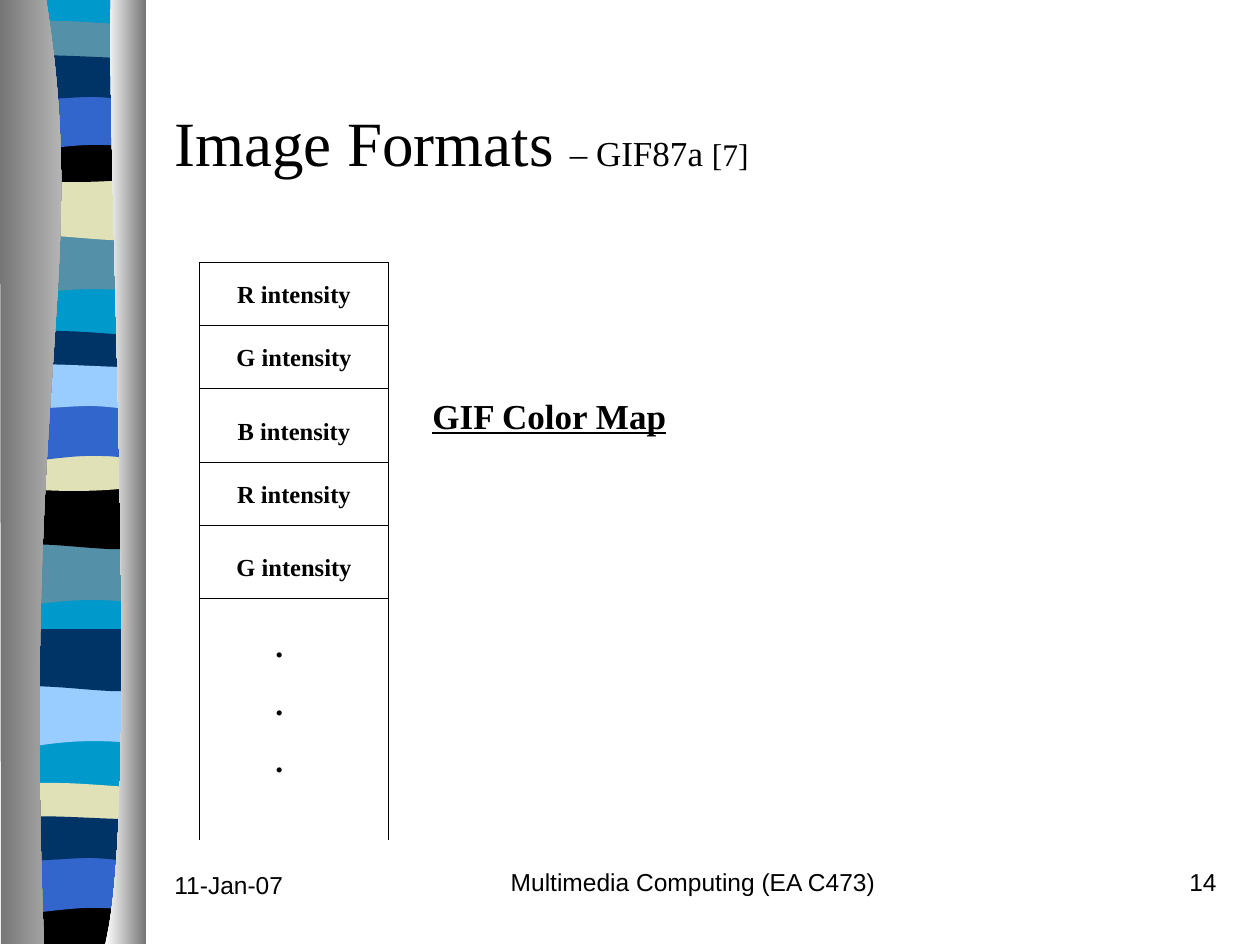
import pptx
import pptx.util
import pptx.dml.color
import pptx.enum.shapes
import pptx.enum.text
from lxml import etree

PX = 914400 / 126
HUES = {"sky": "0099CC", "teal": "5490A8", "sand": "E1E1B7", "black": "000000",
        "blue": "3366CC", "navy": "003366", "ice": "99CCFF",
        "grey": "767676", "pale": "D3D3D3", "white": "FFFFFF"}
SERIF, SANS = "Times New Roman", "Arial"

# Outlines in px: a pair is a corner, six numbers are a Bezier curve
WAVES = {
    "dip": [(136, 0), (136, 59), (42, 49, 23, 69, 0, 59), (0, 0)],
    "swell": [(136, 0), (136, 59), (113, 69, 42, 52, 0, 59), (0, 0)],
    "thin": [(136, 6), (136, 37), (113, 42, 23, 42, 0, 37), (0, 6),
             (8, 0, 29, 1, 52, 1), (74, 1, 118, 5, 136, 6)],
    "bowl": [(136, 0), (136, 40), (113, 48, 23, 48, 0, 40), (0, 0),
             (83, 6, 107, 0, 136, 0)],
    "arch": [(136, 0), (136, 59), (115, 52, 106, 52, 83, 52),
             (60, 52, 20, 59, 0, 59), (0, 0)],
    "roll": [(136, 6), (136, 45), (127, 51, 106, 45, 83, 45),
             (60, 45, 14, 51, 0, 45), (0, 6), (19, 0, 92, 6, 115, 6),
             (137, 6, 132, 6, 136, 6)],
    "foot": [(136, 0), (136, 47), (0, 47), (0, 0), (83, 6, 107, 0, 136, 0)],
    "base": [(136, 0), (136, 942), (0, 942), (0, 0)],
}

# Bands from back to front: wave, left, top, colour
BANDS = [
    ("base", 8, -1, "sky"),
    ("dip", 8, 233, "teal"), ("swell", 8, 178, "sand"), ("thin", 8, 20, "teal"),
    ("bowl", 8, 136, "black"), ("arch", 8, 93, "blue"), ("roll", 8, 52, "navy"),
    ("dip", 6, 544, "teal"), ("swell", 6, 487, "black"), ("thin", 6, 330, "navy"),
    ("bowl", 6, 445, "sand"), ("arch", 6, 404, "blue"), ("roll", 6, 361, "ice"),
    ("dip", 8, 685, "ice"), ("swell", 8, 629, "navy"), ("thin", 6, 782, "sand"),
    ("foot", 6, 897, "black"), ("arch", 6, 856, "blue"), ("roll", 6, 813, "navy"),
]

# Curved grey sides: outline, left colour, right colour
SIDES = [
    ([(46, -1), (90, 272, 22, 373, 44, 944), (1, 944), (0, -1)], "grey", "pale"),
    ([(111, -1), (106, 158, 141, 814, 105, 944), (146, 944), (146, 0)],
     "white", "grey"),
]

# Color map column
LEFT, RIGHT, TOP, END = 199, 388, 262, 840
ROWS = [("R intensity", 325), ("G intensity", 388), ("B intensity", 462),
        ("R intensity", 525), ("G intensity", 598)]

# Texts: box, alignment, anchor, space between, paragraphs of (text, format)
FOOT = {"name": SANS, "size": 14}
LABEL = {"name": SERIF, "size": 14, "bold": True}
DOT = [(".", {"name": SERIF, "size": 18, "bold": True})]
TEXTS = [
    ((162, 864, 262, 63), "LEFT", "TOP", 0, [[("11-Jan-07", FOOT)]]),
    ((493, 861, 400, 63), "CENTER", "TOP", 0,
     [[("Multimedia Computing (EA C473)", FOOT)]]),
    ((967, 861, 262, 63), "RIGHT", "TOP", 0, [[("14", FOOT)]]),
    ((162, 62, 1071, 158), "LEFT", "MIDDLE", 0, [[
        ("Image Formats ", {"name": SERIF, "size": 36}),
        ("– GIF87a ", {"name": SERIF, "size": 20}),
        ("[7]", {"name": SERIF, "size": 18})]]),
    *[((210, low - 52, 168, 43), "CENTER", "TOP", 0, [[(word, LABEL)]])
      for word, low in ROWS],
    ((263, 620, 63, 166), "LEFT", "TOP", 11.2, [DOT] * 3),
    ((420, 388, 336, 55), "LEFT", "TOP", 0, [[
        ("GIF Color Map",
         {"name": SERIF, "size": 20, "bold": True, "underline": True})]]),
]


def emu(n):
    return round(n * PX)


def hue(name):
    return pptx.dml.color.RGBColor.from_string(HUES[name])


def shape(slide, steps, dx=0, dy=0):
    """Draw an outline through all points, then bend its curved steps."""
    dots = [(emu(step[i] + dx), emu(step[i + 1] + dy))
            for step in steps for i in range(0, len(step), 2)]
    pen = slide.shapes.build_freeform(*dots[0], scale=1.0)
    pen.add_line_segments(dots[1:], close=True)
    form = pen.convert_to_shape()
    form.shadow.inherit = False
    form.line.fill.background()
    sides = iter(list(form._element.iter(pptx.oxml.ns.qn("a:lnTo"))))
    for step in steps[1:]:
        first = next(sides)
        if len(step) == 6:
            first.tag = pptx.oxml.ns.qn("a:cubicBezTo")
            for _ in range(2):
                side = next(sides)
                first.append(side[0])
                side.getparent().remove(side)
    return form


def line(slide, *ends):
    # Half a px keeps thin rules centred on their pixels
    rule = slide.shapes.add_connector(
        pptx.enum.shapes.MSO_CONNECTOR.STRAIGHT, *[emu(n + 0.5) for n in ends])
    rule.line.color.rgb = hue("black")
    rule.line.width = pptx.util.Pt(0.75)
    etree.SubElement(rule._element.spPr, pptx.oxml.ns.qn("a:effectLst"))


def text(slide, box, side, hold, gap, paras):
    frame = slide.shapes.add_textbox(*map(emu, box)).text_frame
    frame.word_wrap = True
    frame.vertical_anchor = getattr(pptx.enum.text.MSO_ANCHOR, hold)
    for i, runs in enumerate(paras):
        para = frame.add_paragraph() if i else frame.paragraphs[0]
        para.alignment = getattr(pptx.enum.text.PP_ALIGN, side)
        para.space_before = pptx.util.Pt(gap if i else 0)
        for words, form in runs:
            run = para.add_run()
            run.text = words
            run.font.color.rgb = hue("black")
            for key, val in form.items():
                setattr(run.font, key, pptx.util.Pt(val) if key == "size" else val)


def main():
    deck = pptx.Presentation()
    deck.slide_width, deck.slide_height = emu(1260), emu(945)
    slide = deck.slides.add_slide(deck.slide_layouts[6])

    # Striped ribbon
    for wave, x, y, name in BANDS:
        fill = shape(slide, WAVES[wave], x, y).fill
        fill.solid()
        fill.fore_color.rgb = hue(name)
    for steps, *names in SIDES:
        fill = shape(slide, steps).fill
        fill.gradient()
        fill.gradient_angle = 0
        for stop, name in zip(fill.gradient_stops, names):
            stop.color.rgb = hue(name)

    # Column rules
    for x in (LEFT, RIGHT):
        line(slide, x, TOP, x, END)
    for y in [TOP] + [low for _, low in ROWS]:
        line(slide, LEFT, y, RIGHT, y)

    for item in TEXTS:
        text(slide, *item)
    deck.save("out.pptx")


if __name__ == "__main__":
    main()
